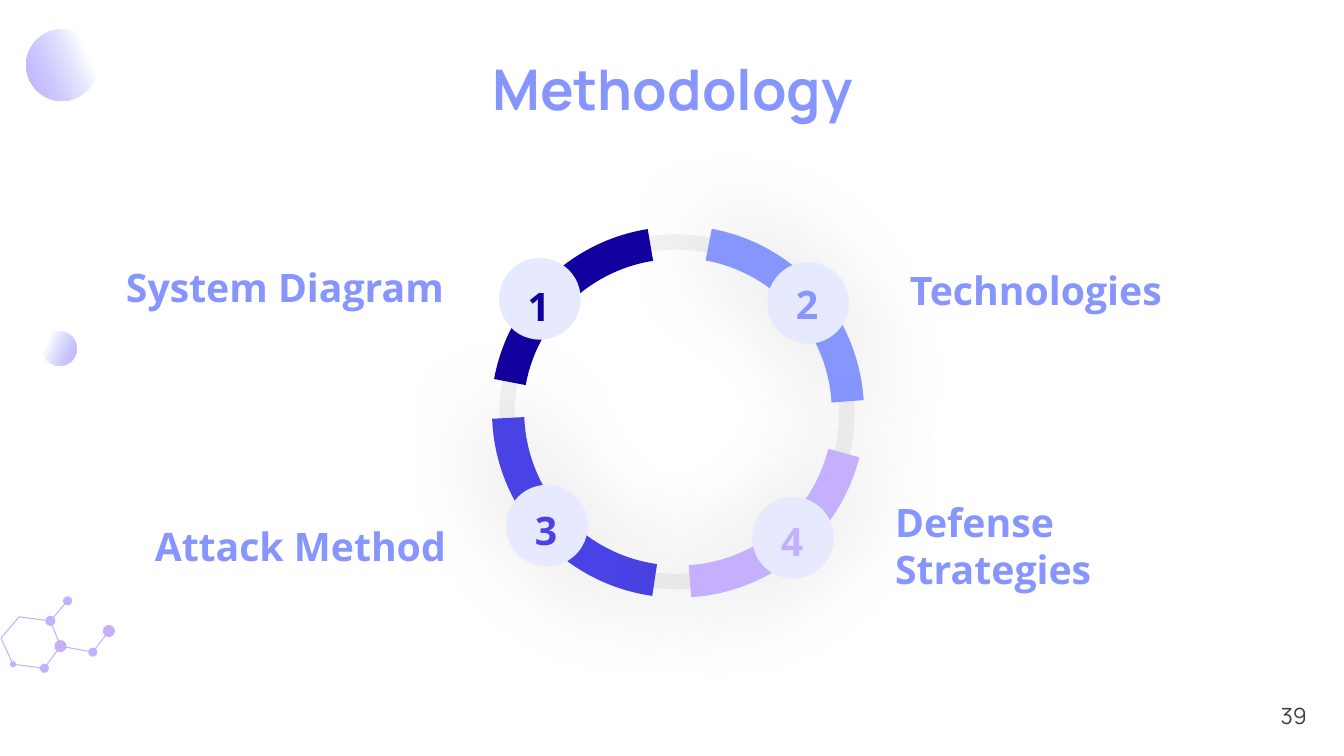
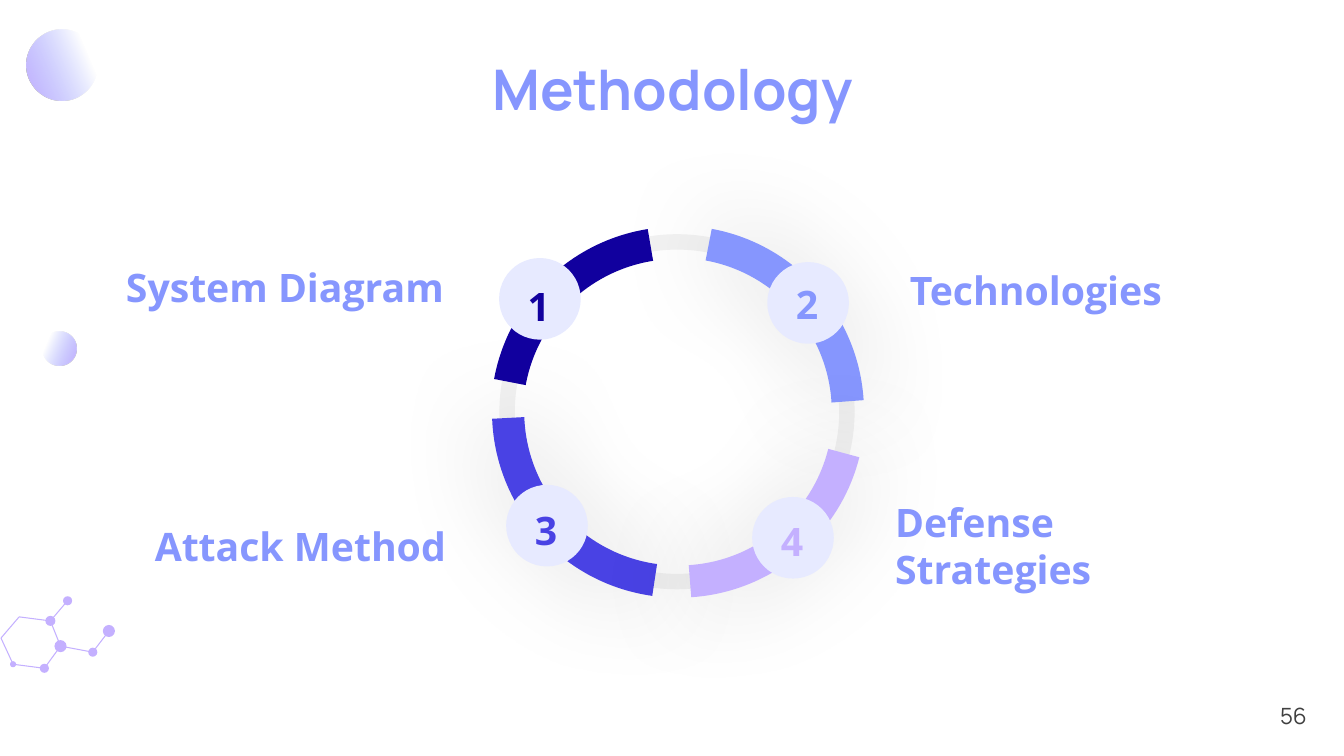
from pptx import Presentation
from pptx.dml.color import RGBColor
from pptx.enum.shapes import MSO_CONNECTOR, MSO_SHAPE
from pptx.enum.text import MSO_ANCHOR, MSO_AUTO_SIZE, PP_ALIGN
from pptx.oxml.ns import qn
from pptx.util import Inches, Pt
from lxml.etree import SubElement

# Content
TITLE = "Methodology"
PAGE_NUMBERS = ["39", "56"]

# Label, label box, alignment
LABELS = [
    ("System Diagram", (1.01, 2.56, 3.49, 0.57), PP_ALIGN.RIGHT),
    ("Technologies", (8.13, 2.59, 3.49, 0.57), PP_ALIGN.RIGHT),
    ("Attack Method", (1.03, 5.13, 3.49, 0.57), PP_ALIGN.RIGHT),
    ("Defense Strategies", (8.78, 4.89, 3.58, 1.04), PP_ALIGN.LEFT),
]

# Number, colour, badge left and top, drop of the number inside the badge
BADGES = [
    ("2", "blue", 7.61, 2.60, 0.04),
    ("4", "lilac", 7.46, 4.93, 0.06),
    ("1", "navy", 4.95, 2.56, 0.10),
    ("3", "indigo", 5.02, 4.81, 0.07),
]

# Colour, left, top, start and end in degrees clockwise from the right, shadow
ARCS = [
    ("indigo", 5.04, 2.40, 97.9, 177.9, True),
    ("blue", 5.04, 2.40, 280.4, 356.5, True),
    ("lilac", 5.05, 2.40, 14.1, 86.3, True),
    ("navy", 5.03, 2.41, 190.4, 261.0, False),
]

# Left, top, diameter, direction of the fade (clockwise)
BUBBLES = [(0.26, 0.29, 0.71, 157), (0.42, 3.29, 0.34, 23)]

# Molecule: x, y, dot diameter; then the pairs of atoms that are joined
ATOMS = [
    (0.44, 6.63, 0.09), (0.13, 6.59, 0.06), (0.01, 6.33, 0),
    (0.19, 6.12, 0), (0.50, 6.16, 0.10), (0.60, 6.41, 0.12),
    (0.67, 5.96, 0.09), (0.92, 6.47, 0.09), (1.08, 6.26, 0.12),
]
BONDS = [(0, 1), (1, 2), (2, 3), (3, 4), (4, 5), (5, 0), (4, 6), (5, 7), (7, 8)]

# Style
COLORS = {
    "blue": "8696FE", "lilac": "C4B0FF", "navy": "11009E", "indigo": "4942E4",
    "badge": "E7EAFF", "ring": "BFBFBF", "page": "404040",
}
HEAD_FONT, BODY_FONT = "Manrope", "Open Sans"
RING_SIZE, BADGE_SIZE = 3.37, 0.81


def rgb(name):
    return RGBColor.from_string(COLORS[name])


def box(left, top, width, height):
    return [Inches(v) for v in (left, top, width, height)]


def set_alpha(clr, percent):
    SubElement(clr, qn("a:alpha")).set("val", str(percent * 1000))


def add_shape(shapes, kind, place, fill=None, line=None, width=0):
    sp = shapes.add_shape(kind, *box(*place))
    sp.shadow.inherit = False
    if fill:
        sp.fill.solid()
        sp.fill.fore_color.rgb = rgb(fill)
    else:
        sp.fill.background()
    if line:
        sp.line.color.rgb = rgb(line)
        sp.line.width = Pt(width)
    else:
        sp.line.fill.background()
    return sp


def write(sp, text, font, size, color, align, bold=True, anchor=MSO_ANCHOR.TOP):
    tf = sp.text_frame
    tf.word_wrap = True
    tf.auto_size = MSO_AUTO_SIZE.NONE
    tf.vertical_anchor = anchor
    p = tf.paragraphs[0]
    p.text = text
    p.alignment = align
    p.font.name, p.font.size, p.font.bold = font, Pt(size), bold
    p.font.color.rgb = rgb(color)
    return p


def add_text(s, place, *args, **kwargs):
    return write(s.shapes.add_textbox(*box(*place)), *args, **kwargs)


def add_molecule(s):
    group = s.shapes.add_group_shape().shapes
    for a, b in BONDS:
        ends = [Inches(v) for v in ATOMS[a][:2] + ATOMS[b][:2]]
        bond = group.add_connector(MSO_CONNECTOR.STRAIGHT, *ends)
        bond.line.color.rgb = rgb("lilac")
        bond.line.width = Pt(0.75)
        SubElement(bond._element.spPr, qn("a:effectLst"))
    for x, y, d in ATOMS:
        if d:
            add_shape(group, MSO_SHAPE.OVAL, (x - d / 2, y - d / 2, d, d), "lilac")


def add_bubble(s, left, top, size, angle):
    sp = add_shape(s.shapes, MSO_SHAPE.OVAL, (left, top, size, size))
    sp.fill.gradient()
    sp.fill.gradient_angle = 360 - angle
    stops = zip(sp.fill.gradient_stops, ("blue", "lilac"), (0.2, 1))
    for stop, color, position in stops:
        stop.color.rgb = rgb(color)
        stop.position = position
    set_alpha(sp._element.xpath(".//a:gradFill//a:srgbClr")[0], 0)


def add_arc(shapes, color, left, top, start, end, shadow):
    arc = add_shape(shapes, MSO_SHAPE.ARC, (left, top, RING_SIZE, RING_SIZE),
                    line=color, width=23)
    # Adjustments count 100000 to the unit, angles 60000 to the degree
    arc.adjustments[0], arc.adjustments[1] = start * 0.6, end * 0.6
    if shadow:
        effects = arc._element.spPr.find(qn("a:effectLst"))
        glow = SubElement(effects, qn("a:outerShdw"), blurRad=str(Pt(73)),
                          dist="0", dir="0", algn="ctr", rotWithShape="0")
        set_alpha(SubElement(glow, qn("a:srgbClr"), val="000000"), 18)


def add_cycle(s):
    group = s.shapes.add_group_shape().shapes
    ring = add_shape(group, MSO_SHAPE.OVAL, (5.03, 2.4, RING_SIZE, RING_SIZE),
                     line="ring", width=11)
    set_alpha(ring._element.xpath(".//a:ln//a:srgbClr")[0], 20)
    for arc in ARCS:
        add_arc(group, *arc)
    for number, color, left, top, drop in BADGES:
        add_shape(s.shapes, MSO_SHAPE.OVAL, (left, top, BADGE_SIZE, BADGE_SIZE), "badge")
        p = add_text(s, (left + 0.02, top + drop, 0.75, 0.63), number,
                     BODY_FONT, 28, color, PP_ALIGN.CENTER)
        p.line_spacing = 1.2


def add_slide(prs, page):
    s = prs.slides.add_slide(prs.slide_layouts[5])
    # Title and page number
    title = s.shapes.title
    title.left, title.top, title.width, title.height = box(2.86, 0.49, 7.62, 0.77)
    write(title, TITLE, HEAD_FONT, 40, "blue", PP_ALIGN.CENTER)
    add_text(s, (10.06, 6.9, 3, 0.4), page, HEAD_FONT, 16, "page",
             PP_ALIGN.RIGHT, bold=False, anchor=MSO_ANCHOR.MIDDLE)
    # Decoration
    add_molecule(s)
    for bubble in BUBBLES:
        add_bubble(s, *bubble)
    # Cycle and its labels
    add_cycle(s)
    for text, place, align in LABELS:
        add_text(s, place, text, BODY_FONT, 28, "blue", align)


def main():
    prs = Presentation()
    prs.slide_width, prs.slide_height = Inches(13.33), Inches(7.5)
    for page in PAGE_NUMBERS:
        add_slide(prs, page)
    prs.save("out.pptx")


if __name__ == "__main__":
    main()
